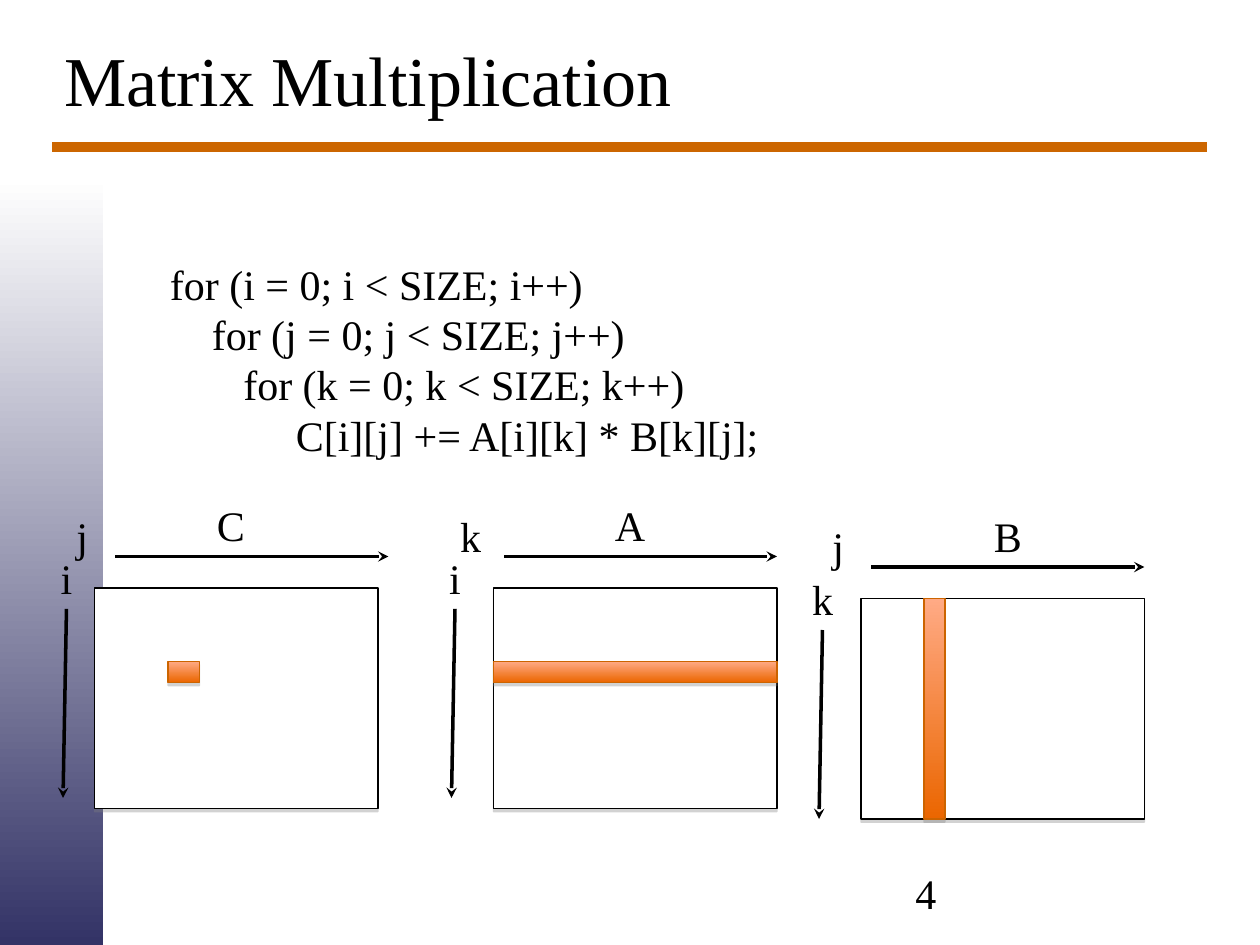
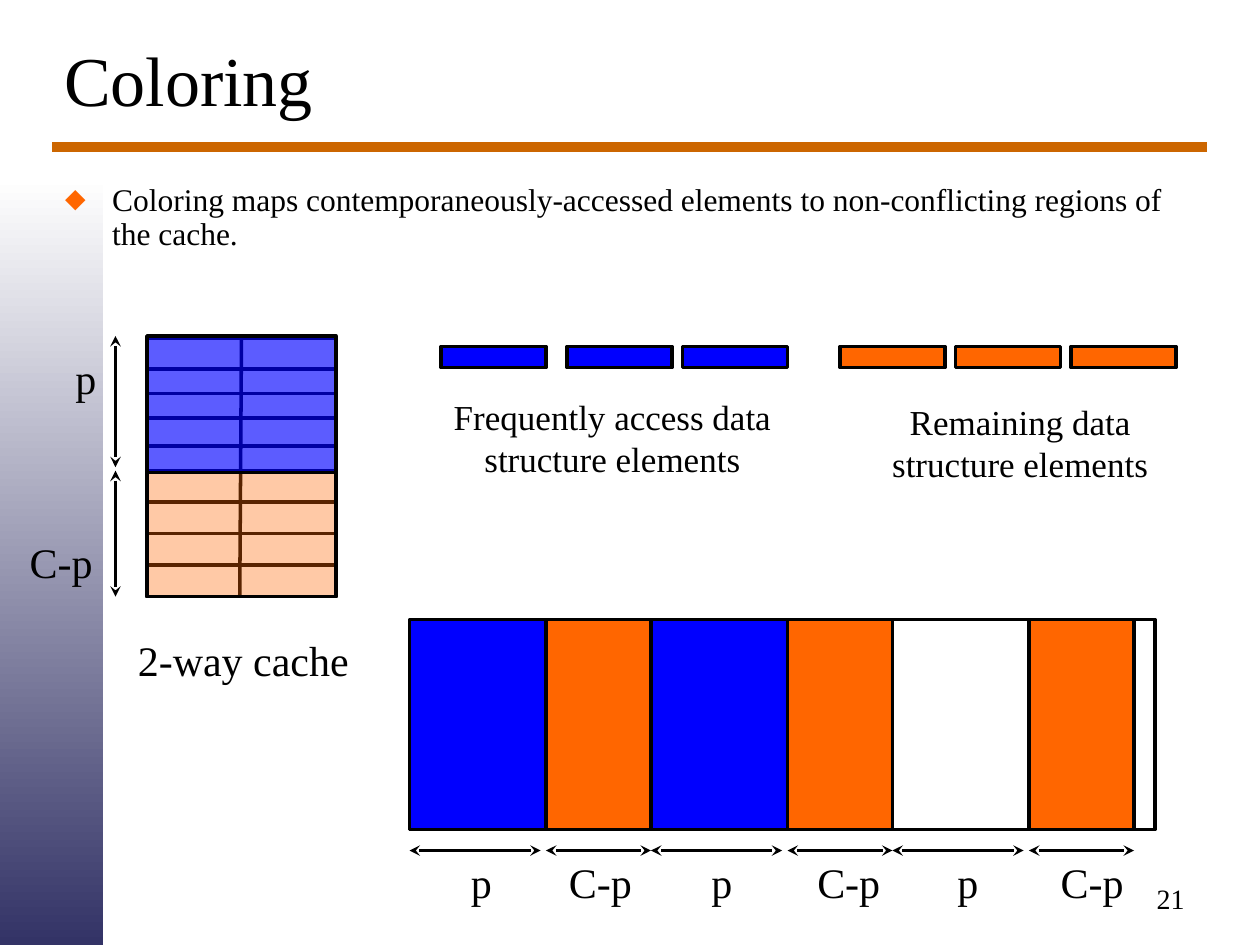
from lxml import etree
from pptx import Presentation
from pptx.dml.color import RGBColor
from pptx.enum.shapes import MSO_CONNECTOR, MSO_SHAPE
from pptx.enum.text import MSO_ANCHOR, PP_ALIGN
from pptx.oxml.ns import qn
from pptx.util import Pt

COLORS = {
    "ink": "000000", "paper": "FFFFFF", "rule": "CC6600", "band": "333366",
    "glow": "FFAA85", "ember": "EB6600", "edge": "CC6400", "shade": "808080",
    "hot": "0000FF", "cold": "FF6600",
}
FONT = "Times New Roman"
RECTANGLE = MSO_SHAPE.RECTANGLE
STRAIGHT = MSO_CONNECTOR.STRAIGHT
TOP, MIDDLE = MSO_ANCHOR.TOP, MSO_ANCHOR.MIDDLE
LEFT, CENTER, RIGHT = PP_ALIGN.LEFT, PP_ALIGN.CENTER, PP_ALIGN.RIGHT


def rgb(name):
    return RGBColor.from_string(COLORS[name])


def add_child(parent, tag, **attributes):
    return etree.SubElement(parent, qn(tag), attributes)


def add_text(page, box, lines, size=24, align=CENTER, anchor=MIDDLE):
    shape = page.shapes.add_textbox(*map(Pt, box))
    frame = shape.text_frame
    frame.word_wrap = True
    frame.vertical_anchor = anchor
    frame.text = lines
    for para in frame.paragraphs:
        para.alignment = align
        for span in para.runs:
            span.font.name = FONT
            span.font.size = Pt(size)
            span.font.color.rgb = rgb("ink")
    return frame


def add_rectangle(page, box, fill, line="ink", width=2, alpha=None):
    shape = page.shapes.add_shape(RECTANGLE, *map(Pt, box))
    shape.shadow.inherit = False
    if isinstance(fill, tuple):
        shape.fill.gradient()
        shape.fill.gradient_angle = 270
        for stop, name in zip(shape.fill.gradient_stops, fill):
            stop.color.rgb = rgb(name)
    else:
        shape.fill.solid()
        shape.fill.fore_color.rgb = rgb(fill)
    if alpha:
        color = shape._element.spPr.find(qn("a:solidFill"))[0]
        add_child(color, "a:alpha", val=str(alpha * 1000))
    if line:
        shape.line.color.rgb = rgb(line)
        shape.line.width = Pt(width)
    else:
        shape.line.fill.background()
    return shape


def add_shaded_rectangle(page, box, fill, line):
    shape = add_rectangle(page, box, fill, line, 0.75)
    effects = shape._element.spPr.find(qn("a:effectLst"))
    shadow = add_child(effects, "a:outerShdw", blurRad="0", dist=str(Pt(1.8)),
                       dir="5400000", rotWithShape="0")
    color = add_child(shadow, "a:srgbClr", val=COLORS["shade"])
    add_child(color, "a:alpha", val="35000")


def add_line(page, start, end, color="ink", width=2, heads=()):
    line = page.shapes.add_connector(STRAIGHT, *map(Pt, (*start, *end)))
    line.line.color.rgb = rgb(color)
    line.line.width = Pt(width)
    outline = line.line._get_or_add_ln()
    for head in heads:
        add_child(outline, "a:" + head, type="stealth")
    add_child(line._element.spPr, "a:effectLst")


def add_arrow(page, start, end):
    add_line(page, start, end, heads=("tailEnd",))


def add_span_arrow(page, start, end):
    add_line(page, start, end, heads=("headEnd", "tailEnd"))


def add_page(deck, title):
    page = deck.slides.add_slide(deck.slide_layouts[6])
    page.background.fill.solid()
    page.background.fill.fore_color.rgb = rgb("paper")
    add_rectangle(page, (0, 101.5, 59, 438.5), ("paper", "band"), line=None)
    add_line(page, (30, 84), (690, 84), "rule", 6)
    add_text(page, (29.5, 0, 660, 90), title, 40, LEFT)
    return page


def add_code(page, box, lines):
    frame = add_text(page, box, "\n".join(text for _, text in lines),
                     align=LEFT, anchor=TOP)
    for para, (indent, _) in zip(frame.paragraphs, lines):
        para._p.get_or_add_pPr().set("marL", str(Pt(indent)))


def add_matrix(page, left, top, name, column, row, highlight,
               shift=6, name_shift=60, row_drop=-24):
    x = left + shift
    add_text(page, (left + name_shift, top - 54, 48, 36), name)
    add_text(page, (left - 24, top - 48, 34, 36), column)
    add_text(page, (left - 36, top + row_drop, 40, 36), row)
    add_shaded_rectangle(page, (x, top, 162, 126), "paper", "ink")
    add_arrow(page, (left + 12, top - 18), (left + 168, top - 18))
    add_arrow(page, (left - 16, top + row_drop + 36),
              (left - 18, top + row_drop + 144))
    dx, dy, width, height = highlight
    add_shaded_rectangle(page, (x + dx, top + dy, width, height),
                         ("glow", "ember"), "edge")


def add_bullet(page, box, text):
    para = add_text(page, box, text, 18, LEFT, TOP).paragraphs[0]
    para.line_spacing = 0.9
    para.space_before = Pt(4.5)
    properties = para._p.get_or_add_pPr()
    properties.set("marL", str(Pt(27)))
    properties.set("indent", str(-Pt(27)))
    color = add_child(properties, "a:buClr")
    add_child(color, "a:srgbClr", val=COLORS["cold"])
    add_child(properties, "a:buFont", typeface=FONT)
    add_child(properties, "a:buChar", char="\u2b25")


def add_cache(page, box):
    left, top, width, height = box
    right, bottom, split = left + width, top + height, top + 77
    add_rectangle(page, (left, top + 1, width, height - 1), "paper")
    add_line(page, (left + 54, top + 1), (left + 53, bottom))
    for y in (19, 33, 47, 63, 77, 95, 113, 131):
        add_line(page, (left, top + y), (right, top + y))
    add_rectangle(page, (left, split, width, bottom - split), "cold", alpha=35)
    add_rectangle(page, (left, top, width, 78), "hot", alpha=64)
    add_span_arrow(page, (left - 18, top), (left - 18, top + 75))
    add_span_arrow(page, (left - 18, split), (left - 18, bottom))
    add_text(page, (left - 48, top + 6, 26, 36), "p")
    add_text(page, (left - 96, top + 111, 94, 36), "C-p")
    add_text(page, (left - 22, bottom + 18, 154, 36), "2-way cache")


def add_elements(page, lefts, top, color, caption, caption_box):
    for left in lefts:
        add_rectangle(page, (left, top, 60, 12), color)
    add_text(page, caption_box, caption, 20)


def add_memory(page, box):
    left, top, width, height = box
    add_rectangle(page, box, "paper")
    bands = (("p", "hot", 275), ("C-p", "cold", 343), ("p", "hot", 412.5),
             ("C-p", "cold", 485), ("p", None, 553), ("C-p", "cold", 624))
    arrow_y = top + height + 12
    for name, color, label_center in bands:
        band_width, arrow_width = (78, 75) if name == "p" else (60, 60)
        if color:
            add_rectangle(page, (left, top, band_width, height), color)
        add_span_arrow(page, (left, arrow_y), (left + arrow_width, arrow_y))
        add_text(page, (label_center - 30, arrow_y, 60, 36), name)
        left += band_width


def build_multiplication(deck):
    page = add_page(deck, "Matrix Multiplication")
    add_text(page, (516, 492, 168, 37), "4", align=LEFT, anchor=TOP)
    add_code(page, (84, 144, 618, 122), (
        (6, "for (i = 0; i < SIZE; i++)"),
        (30, "for (j = 0; j < SIZE; j++)"),
        (48, "for (k = 0; k < SIZE; k++)"),
        (78, "C[i][j] += A[i][k] * B[k][j];"),
    ))
    add_matrix(page, 54, 336, "C", "j", "i", (42, 42, 18, 12),
               shift=0, name_shift=54)
    add_matrix(page, 276, 336, "A", "k", "i", (0, 42, 162, 12))
    add_matrix(page, 486, 342, "B", "j", "k", (36, 0, 12, 126),
               name_shift=66, row_drop=-18)


def build_coloring(deck):
    page = add_page(deck, "Coloring")
    add_text(page, (294, 500, 390, 25), "21", 16, RIGHT, TOP)
    add_bullet(page, (30, 102, 660, 60),
               "Coloring maps contemporaneously-accessed elements to "
               "non-conflicting regions of the cache.")
    add_cache(page, (84, 192, 108, 149))
    add_elements(page, (252, 324, 390), 198, "hot",
                 "Frequently access data\nstructure elements",
                 (174, 222, 352, 55.5))
    add_elements(page, (480, 546, 612), 198, "cold",
                 "Remaining data\nstructure elements",
                 (407, 225, 352, 55.5))
    add_memory(page, (234, 354, 426, 120))


deck = Presentation()
deck.slide_width, deck.slide_height = Pt(720), Pt(540)
build_multiplication(deck)
build_coloring(deck)
deck.save("out.pptx")
